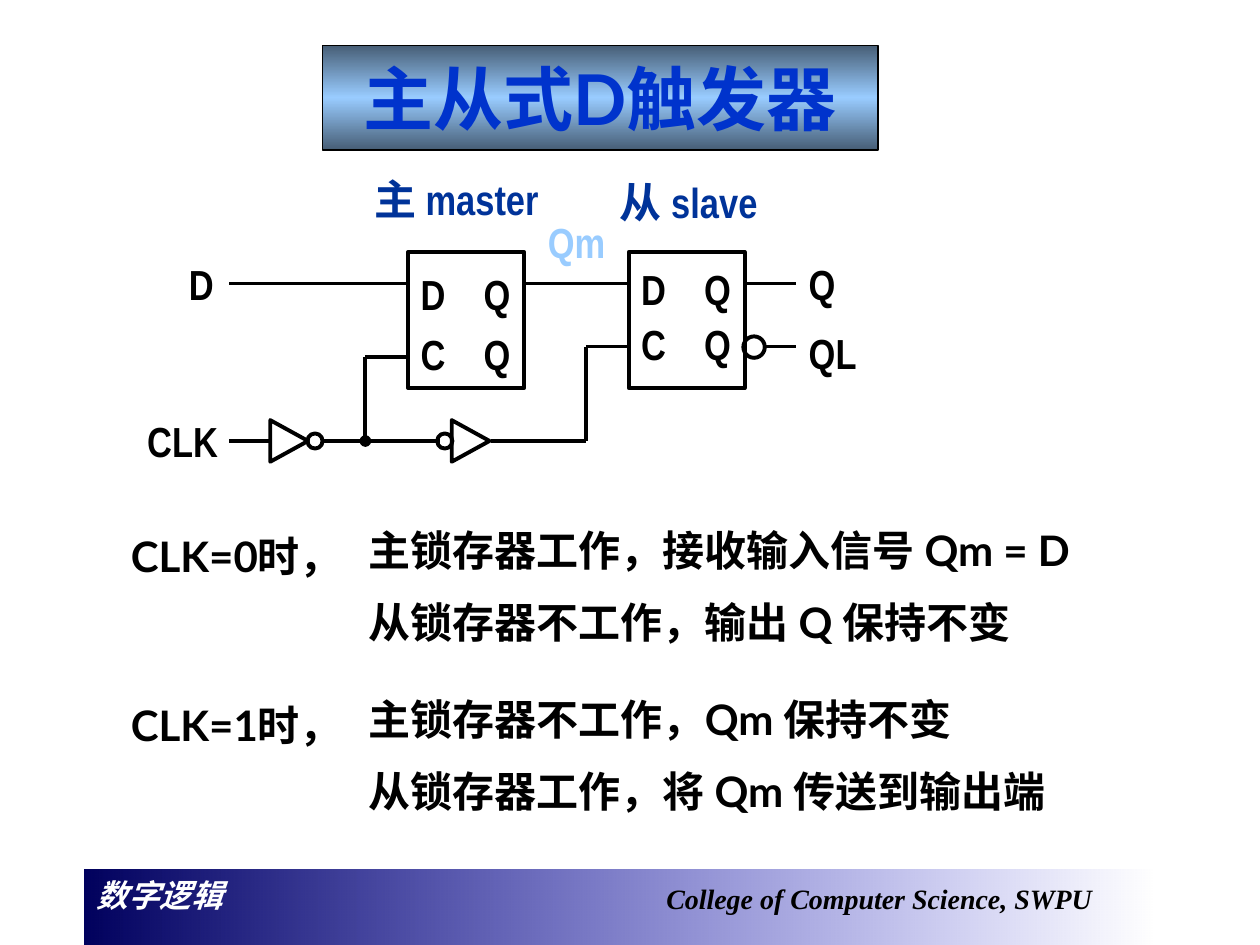
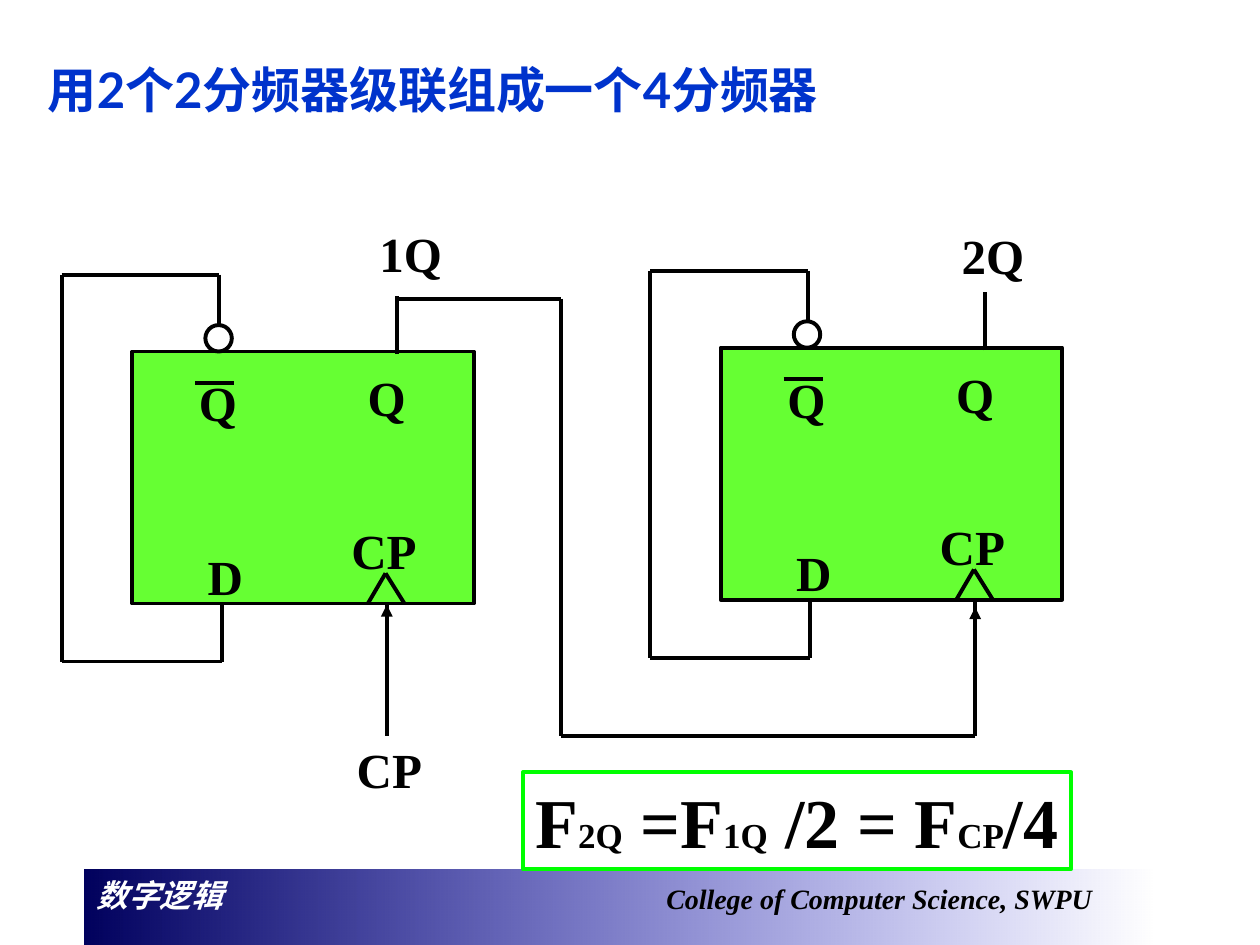
from itertools import pairwise
from lxml.etree import SubElement
from pptx import Presentation
from pptx.dml.color import RGBColor
from pptx.enum.shapes import MSO_CONNECTOR, MSO_SHAPE
from pptx.enum.text import MSO_ANCHOR, MSO_AUTO_SIZE, PP_ALIGN
from pptx.oxml.ns import qn
from pptx.util import Inches, Pt

HUES = {
    "ink": "000000", "white": "FFFFFF", "title": "0033CC", "label": "003399",
    "sky": "99CCFF", "steel": "475E76", "navy": "00005E", "blue": "0000CC",
    "green": "66FF33", "lime": "00FF00",
}
NARROW, LATO, TIMES = "Arial Narrow", "Lato", "Times New Roman"
RECT, OVAL, WEDGE = MSO_SHAPE.RECTANGLE, MSO_SHAPE.OVAL, MSO_SHAPE.ISOSCELES_TRIANGLE

deck = Presentation()
deck.slide_width, deck.slide_height = Inches(10), Inches(7.5)
CELL = deck.slide_width // 100


def write(page, text, area, kind=None, shape=None, font=TIMES, size=28, hue="ink",
          italic=False, align=PP_ALIGN.LEFT, anchor=MSO_ANCHOR.TOP, wrap=False,
          lead=None, gap=0, tab=None, fill=None, edge=None, fade=None, angle=0):
    x, y, w, h = [round(v * CELL) for v in area]
    if shape is None and kind is None:
        shape = page.shapes.add_textbox(x, y, w, h)
    elif shape is None:
        shape = page.shapes.add_shape(kind, x, y, w, h)
        shape.shadow.inherit = False
    shape.left, shape.top, shape.width, shape.height = x, y, w, h
    if fade:
        shape.fill.gradient()
        shape.fill.gradient_angle = angle
        stops = shape.element.spPr.find(".//" + qn("a:gsLst"))
        stops.clear()
        for place, tone, alpha in fade:
            stop = SubElement(stops, qn("a:gs"), pos=str(place * 1000))
            color = SubElement(stop, qn("a:srgbClr"), val=HUES[tone])
            SubElement(color, qn("a:alpha"), val=str(alpha * 1000))
    elif fill:
        shape.fill.solid()
        shape.fill.fore_color.rgb = RGBColor.from_string(HUES[fill])
    else:
        shape.fill.background()
    if edge:
        shape.line.color.rgb = RGBColor.from_string(HUES[edge[0]])
        shape.line.width = Pt(edge[1])
    else:
        shape.line.fill.background()
    if not text:
        return shape
    frame = shape.text_frame
    frame.auto_size = MSO_AUTO_SIZE.NONE
    frame.word_wrap, frame.vertical_anchor = wrap, anchor
    for row, line in enumerate(text.split("\n")):
        para = frame.add_paragraph() if row else frame.paragraphs[0]
        para.alignment = align
        para.space_before = Pt(gap if row else 0)
        if lead:
            para.line_spacing = lead
        if tab:
            tabs = SubElement(para._p.get_or_add_pPr(), qn("a:tabLst"))
            SubElement(tabs, qn("a:tab"), pos=str(round(tab * CELL)), algn="l")
            frame.margin_right = 0
        for turn, part in enumerate(line.split("_")):
            run = para.add_run()
            run.text = part
            run.font.name, run.font.bold, run.font.italic = font, True, italic
            run.font.size = Pt(size / 2 if turn % 2 else size)
            run.font.color.rgb = RGBColor.from_string(HUES[hue])
    return shape


def wire(page, *spots, tip=None):
    for start, end in pairwise(spots):
        line = page.shapes.add_connector(
            MSO_CONNECTOR.STRAIGHT, *[round(v * CELL) for v in (*start, *end)])
        line.line.color.rgb = RGBColor.from_string(HUES["ink"])
        line.line.width = Pt(2.25)
        SubElement(line.element.spPr, qn("a:effectLst"))
    if tip:
        SubElement(line.line._get_or_add_ln(), qn("a:tailEnd"), type=tip)


PEN = ("ink", 2.25)
MID = {"align": PP_ALIGN.CENTER, "anchor": MSO_ANCHOR.MIDDLE}
latch, chain = [deck.slides.add_slide(deck.slide_layouts[5]) for _ in range(2)]

band = write(latch, "数字逻辑", (6.7, 69, 85, 6), RECT, size=18, hue="white", italic=True,
             fade=[(0, "navy", 100), (100, "blue", 0)])
school = write(latch, "College of Computer Science, SWPU", (51.9, 69.5, 36, 3.6),
               size=16, italic=True)
for num, part in enumerate((band, school), 90):
    part.element.nvSpPr.cNvPr.set("id", str(num))
    deck.slide_master.element.cSld.spTree.append(part.element)

write(latch, "主从式D触发器", (25.6, 3.6, 44.1, 8.3), shape=latch.shapes.title,
      font=LATO, size=40, hue="title", edge=("ink", 0.75), angle=90,
      fade=[(0, "steel", 100), (50, "sky", 100), (100, "steel", 100)], **MID)

for x, lead in ((32.4, 1.2), (49.9, 1.1)):
    write(latch, "D\tQ\nC\tQ", (x, 20, 9.2, 10.8), RECT, font=NARROW, size=24,
          wrap=True, lead=lead, tab=5, edge=PEN)
for x, y, side in ((59, 26.7, 1.7), (24.4, 34.4, 1.2), (34.7, 34.4, 1.2)):
    write(latch, "", (x, y, side, side), OVAL, edge=PEN)
for x in (21.3, 35.7):
    write(latch, "", (x, 33.5, 3.3, 3), WEDGE, edge=PEN).rotation = 90

for x, end in ((18.2, 32.4), (41.5, 49.9), (59, 63.2)):
    wire(latch, (x, 22.5), (end, 22.5))
wire(latch, (60.7, 27.5), (63.2, 27.5))
wire(latch, (18.2, 35), (21.5, 35))
wire(latch, (25.7, 35), (34.9, 35))
wire(latch, (39, 35), (46.5, 35), (46.5, 27.5), (49.9, 27.5))
wire(latch, (32.4, 28.3), (29, 28.3), (29, 35), tip="oval")

for text, x, y, w, hue in (
    ("D", 14, 20, 3.9, "ink"), ("CLK", 10.7, 32.5, 7.6, "ink"),
    ("Q", 63.2, 20, 4, "ink"), ("QL", 63.2, 25.5, 5.8, "ink"),
    ("主 master", 28.7, 13.3, 15.8, "label"), ("从 slave", 48.2, 13.5, 13.7, "label"),
    ("Qm", 42.5, 16.7, 6.5, "sky"),
):
    write(latch, text, (x, y, w, 5), font=NARROW, size=24, hue=hue)

for y, when, what in (
    (41.6, "CLK=0时，", "主锁存器工作，接收输入信号 Qm = D\n从锁存器不工作，输出 Q 保持不变"),
    (55, "CLK=1时，", "主锁存器不工作，Qm 保持不变\n从锁存器工作，将 Qm 传送到输出端"),
):
    write(latch, when, (9.4, y, 16, 9), font=LATO, size=24, wrap=True)
    write(latch, what, (28.3, y, 66.5, 10.3), font=LATO, size=24, wrap=True,
          lead=0.9, gap=15)

write(chain, "用2个2分频器级联组成一个4分频器", (2.8, 4.2, 68.6, 5.7),
      shape=chain.shapes.title, font=LATO, hue="title", wrap=True,
      anchor=MSO_ANCHOR.MIDDLE)

for x, y in ((10.5, 27.9), (57.2, 27.6)):
    write(chain, "", (x, y, 27.1, 20), RECT, fill="green", edge=PEN)
    for text, dx, dy, w in (("D", 5, 15, 6.2), ("CP", 16.4, 12.9, 8.8),
                            ("Q", 17.7, 0.8, 6.5), ("Q", 4.3, 1.2, 5.4)):
        write(chain, text, (x + dx, y + dy, w, 5.7), wrap=True)
    wire(chain, (x + 5, y + 2.5), (x + 8.1, y + 2.5))
    wire(chain, (x + 18.7, y + 20), (x + 20.1, y + 17.6), (x + 21.6, y + 20))
    wire(chain, (x + 20.2, y + 20), (x + 20.2, y + 24.7))
    wire(chain, (x + 21, y + 0.2), (x + 21, y - 4.4))
    wire(chain, (x + 7.1, y + 20), (x + 7.1, y + 24.6), (x - 5.6, y + 24.6),
         (x - 5.6, y - 6.1), (x + 6.9, y - 6.1), (x + 6.9, y - 1.7))
    write(chain, "", (x + 5.8, y - 2.1, 2.1, 2.1), OVAL, fill="white", edge=PEN)

wire(chain, (31.5, 23.7), (44.5, 23.7), (44.5, 58.4), (77.4, 58.4), (77.4, 48.2),
     tip="triangle")
wire(chain, (30.7, 58.4), (30.7, 48), tip="triangle")
for text, x, y in (("CP", 27.4, 58.2), ("1Q", 29.1, 17.2), ("2Q", 75.3, 17.4)):
    write(chain, text, (x, y, 7, 5.7), **MID)
write(chain, "F_2Q_ =F_1Q_ /2 = F_CP_/4", (41.5, 61.3, 43.5, 7.7), RECT, size=40,
      edge=("lime", 2.25), **MID)

deck.save("out.pptx")
